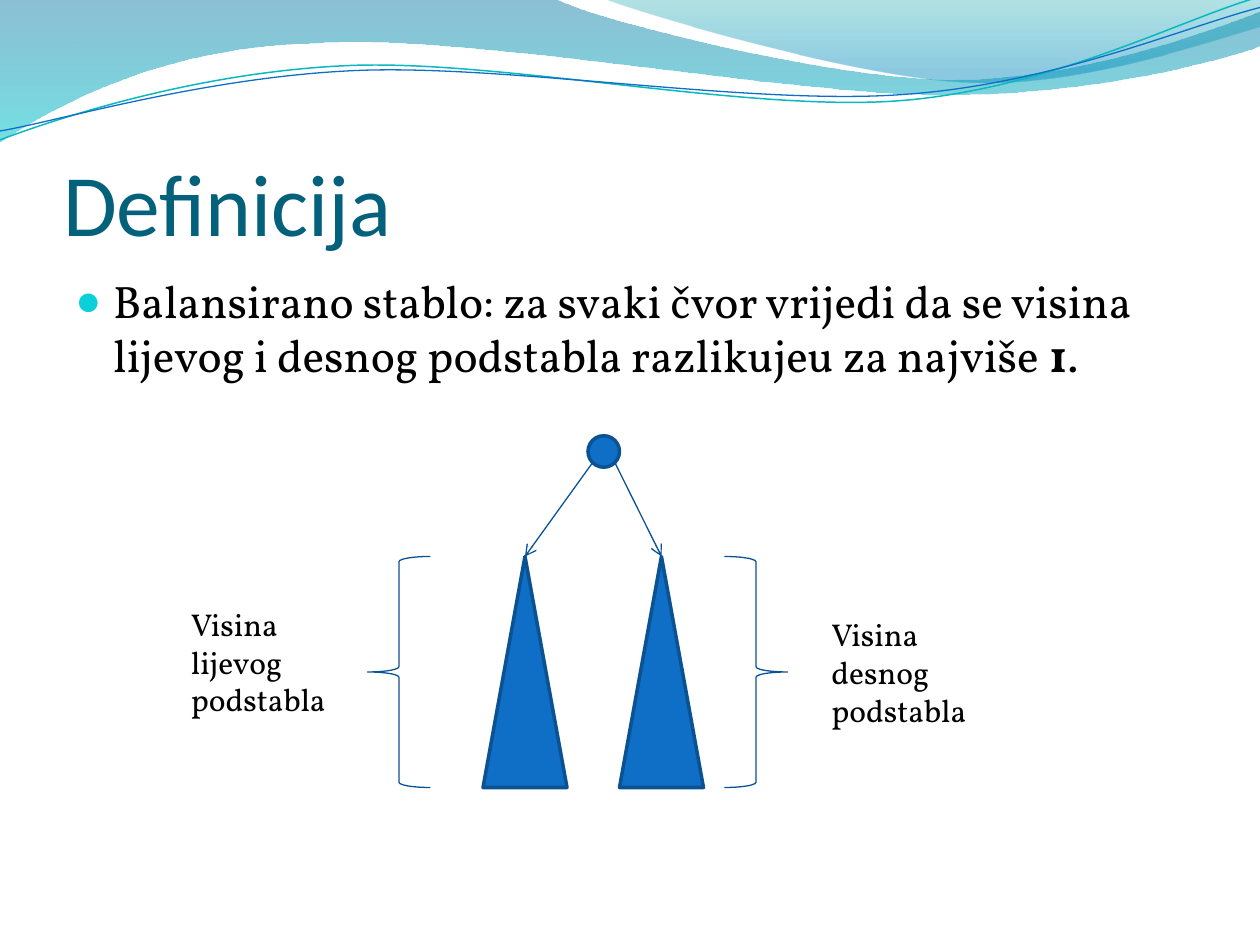
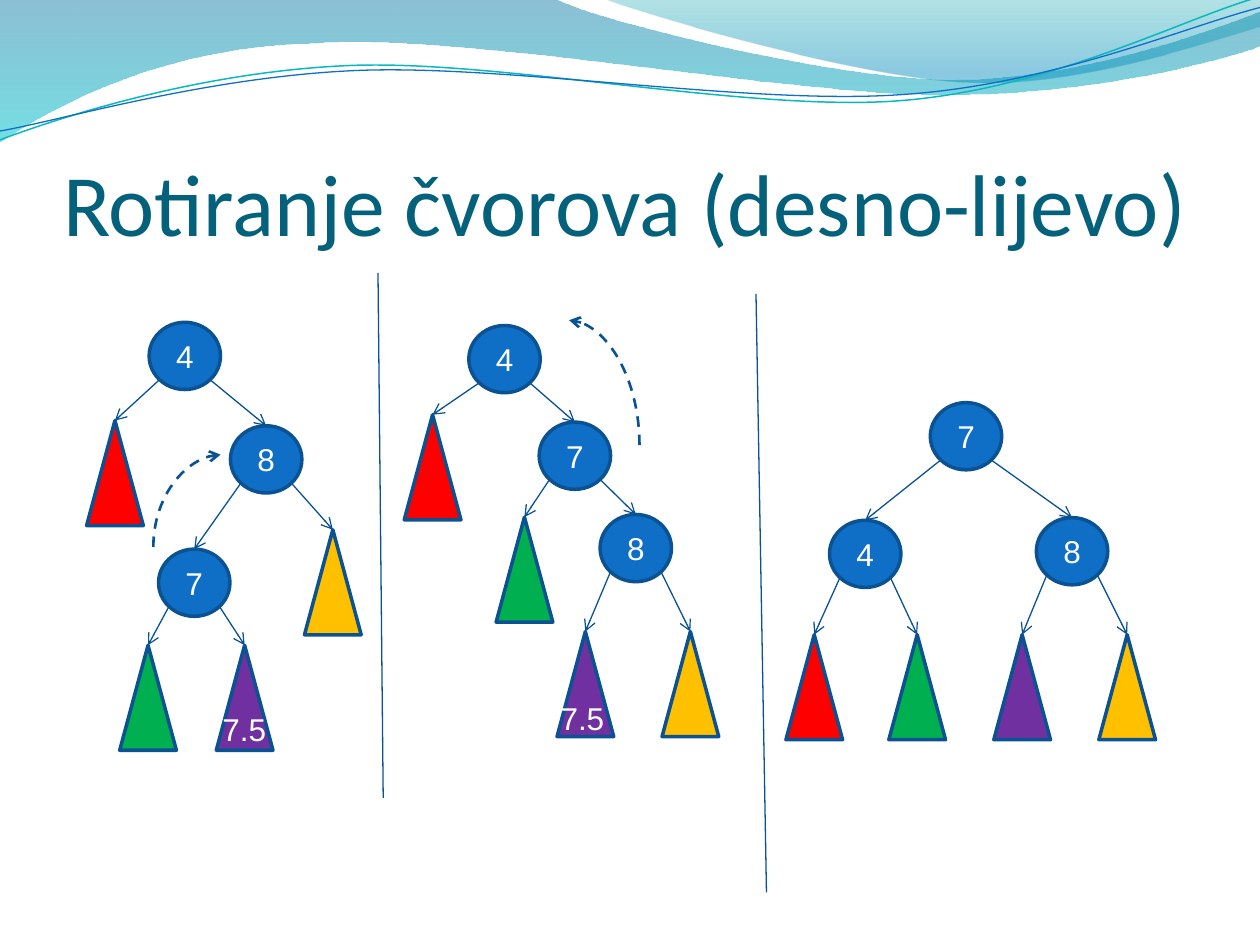
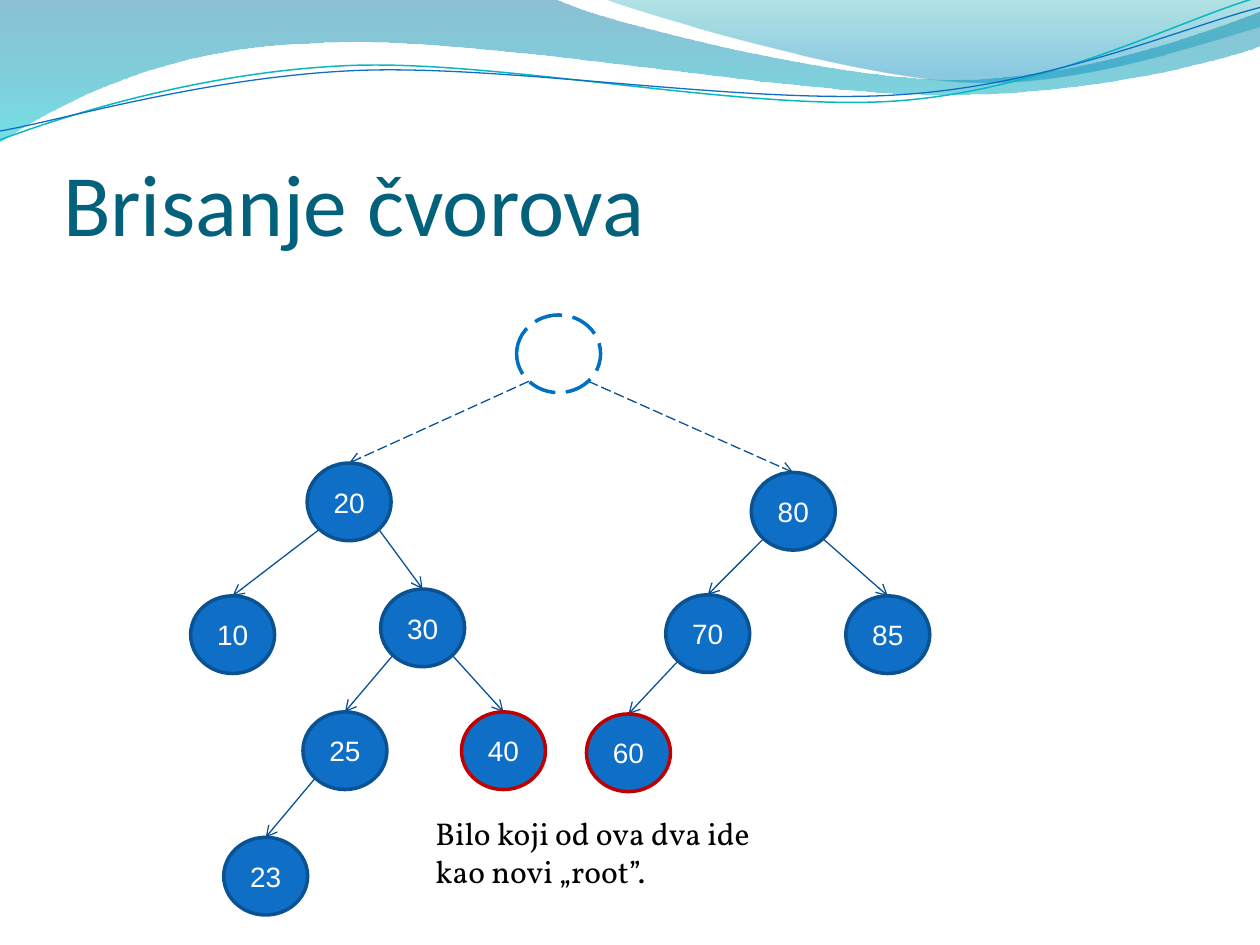
from math import cos, radians, sin

from lxml import etree
from pptx import Presentation
from pptx.dml.color import RGBColor
from pptx.enum.dml import MSO_LINE
from pptx.enum.shapes import MSO_CONNECTOR, MSO_SHAPE
from pptx.enum.text import MSO_ANCHOR, MSO_AUTO_SIZE, PP_ALIGN
from pptx.oxml.ns import qn
from pptx.util import Inches, Pt

STRAIGHT, CURVE = MSO_CONNECTOR.STRAIGHT, MSO_CONNECTOR.CURVE
OVAL, TRIANGLE = MSO_SHAPE.OVAL, MSO_SHAPE.ISOSCELES_TRIANGLE
EXTRACT = MSO_SHAPE.FLOWCHART_EXTRACT
LEFT_BRACE, RIGHT_BRACE = MSO_SHAPE.LEFT_BRACE, MSO_SHAPE.RIGHT_BRACE
DASH, LONG_DASH = MSO_LINE.DASH, MSO_LINE.LONG_DASH
TOP, MIDDLE, BOTTOM = MSO_ANCHOR.TOP, MSO_ANCHOR.MIDDLE, MSO_ANCHOR.BOTTOM
LEFT, CENTER = PP_ALIGN.LEFT, PP_ALIGN.CENTER
FIXED, GROW = MSO_AUTO_SIZE.NONE, MSO_AUTO_SIZE.SHAPE_TO_FIT_TEXT

rgb = RGBColor.from_string
BLUE, OUTLINE, EDGE = "0F6FC6", "0B5292", "095295"
RED, GREEN, PURPLE, YELLOW = "FF0000", "00B050", "7030A0", "FFC000"
CHOSEN, REMOVED = "C00000", "0070C0"
TITLE, BULLET, BLACK, WHITE = "04617B", "0BD0D9", "000000", "FFFFFF"
HEAD, SERIF, SANS = "Calibri", "Vollkorn", "Arial"

prs = Presentation()
prs.slide_width, prs.slide_height = Inches(10), Inches(7.5)
CELL = prs.slide_width / 120  # the grid has 120 columns and 90 rows


def cells(*values):
    return [round(v * CELL) for v in values]


def write(p, text, size, font, color, bold=False):
    r = p.add_run()
    r.text = text
    r.font.size, r.font.name, r.font.bold = Pt(size), font, bold
    r.font.color.rgb = rgb(color)


# Slides and their titles
layout = prs.slide_layouts[5]
for title in ("Definicija", "Rotiranje čvorova (desno-lijevo)", "Brisanje čvorova"):
    sp = prs.slides.add_slide(layout).shapes.title
    sp.left, sp.top, sp.width, sp.height = cells(6, 9.2, 108, 15)
    tf = sp.text_frame
    tf.word_wrap, tf.auto_size = True, FIXED
    tf.vertical_anchor = BOTTOM
    tf.margin_left = tf.margin_right = tf.margin_bottom = 0
    tf.margin_top = Inches(0.05)
    tf.paragraphs[0].alignment = LEFT
    write(tf.paragraphs[0], title, 50, HEAD, TITLE)
definition, rotation, removal = prs.slides

# Waves in tenths of the slide's width: stops (position, colour, opacity),
# line (colour, width, centre of its turn), start, segments.
# Two numbers are a straight segment, six are a Bezier curve.
waves = [
    ([(0, "0074A1", 45), (1, "00C6CF", 55)], None, (0, 0), [
        (4.4, -0.01), (4.76, 0.17, 6.64, 0.63, 7.58, 0.63),
        (8.53, 0.63, 9.58, 0.26, 10, 0.09), (10.01, 0.36),
        (9.83, 0.44, 8.7, 0.76, 7.46, 0.75), (6.22, 0.75, 3.82, 0.28, 2.57, 0.34),
        (1.29, 0.36, 0.46, 0.83, -0.01, 1.13), (0, 0)]),
    ([(0, "00A1A9", 30), (0.8, "008BBF", 45)], None, (4.79, -0.01), [
        (5.09, 0.11, 6.82, 0.62, 7.69, 0.65), (8.56, 0.69, 9.61, 0.32, 10, 0.21),
        (10, 0), (4.79, -0.01)]),
    (None, ("0AB8BF", 0.85, 4.99, 0.58), (0, 1.11), [
        (0.48, 0.93, 1.58, 0.57, 2.77, 0.52), (3.95, 0.47, 5.93, 0.89, 7.13, 0.8),
        (8.33, 0.71, 9.38, 0.15, 9.98, -0.02)]),
    (None, (BLUE, 0.75, 5, 0.59), (0, 1.04), [
        (0.47, 0.96, 1.64, 0.61, 2.83, 0.56), (4.03, 0.51, 5.97, 0.84, 7.17, 0.75),
        (8.36, 0.67, 9.41, 0.21, 10, 0.06)]),
]
TILT = 2.7  # the wave lines are turned back by this many degrees
COS, SIN = cos(radians(TILT)), sin(radians(TILT))
for depth, (stops, line, start, segments) in enumerate(waves):
    points = [start] + [seg[i:i + 2] for seg in segments for i in range(0, len(seg), 2)]
    if line:
        color, width, cx, cy = line
        points = [(cx + (x - cx) * COS - (y - cy) * SIN,
                   cy + (x - cx) * SIN + (y - cy) * COS) for x, y in points]
    points = [cells(12 * x, 12 * y) for x, y in points]
    builder = definition.shapes.build_freeform(*points[0])
    builder.add_line_segments(points[1:], close=stops is not None)
    sp = builder.convert_to_shape()
    sp.shadow.inherit = False
    # Three points in a row become one curve
    steps = iter(list(sp._element.spPr.iter(qn("a:lnTo"))))
    for seg in segments:
        node = next(steps)
        if len(seg) == 6:
            node.tag = qn("a:cubicBezTo")
            for extra in (next(steps), next(steps)):
                node.append(extra[0])
                extra.getparent().remove(extra)
    if stops:
        sp.line.fill.background()
        sp.fill.gradient()
        sp.fill.gradient_angle = 270
        for stop, (position, color, _) in zip(sp.fill.gradient_stops, stops):
            stop.position, stop.color.rgb = position, rgb(color)
        colors = sp._element.spPr.iter(qn("a:srgbClr"))
        for node, (_, _, opacity) in zip(colors, stops):
            etree.SubElement(node, qn("a:alpha"), val=str(opacity * 1000))
    else:
        sp.fill.background()
        sp.line.color.rgb, sp.line.width = rgb(color), Pt(width)
        sp.rotation = 360 - TILT
    # The layout holds the waves for every slide
    layout.shapes._spTree.insert(2 + depth, sp._element)

# Trees: slide, circle size, leaf shape and size, text size,
# then name: (parent, centre column, top row, fill, outline)
trees = [
    (definition, (3, 3), EXTRACT, (8, 22), 18, {
        "root": (None, 57.5, 41.5, BLUE, OUTLINE),
        "left": ("root", 50, 53, BLUE, OUTLINE),
        "right": ("root", 63, 53, BLUE, OUTLINE)}),
    (rotation, (6.8, 6.4), TRIANGLE, (5.4, 10), 18, {
        "4": (None, 17.6, 30.7, BLUE, OUTLINE),
        "8": ("4", 25.35, 40.55, BLUE, OUTLINE),
        "7": ("8", 18.5, 52.3, BLUE, OUTLINE),
        "a": ("4", 10.95, 40.05, RED, OUTLINE),
        "b": ("7", 14.1, 61.45, GREEN, OUTLINE),
        "c": ("7", 23.3, 61.45, PURPLE, OUTLINE),
        "d": ("8", 31.7, 50.45, YELLOW, OUTLINE)}),
    (rotation, (6.8, 6.4), TRIANGLE, (5.4, 10), 18, {
        "4": (None, 48.05, 31, BLUE, OUTLINE),
        "7": ("4", 54.75, 40.2, BLUE, OUTLINE),
        "8": ("7", 60.55, 49, BLUE, OUTLINE),
        "a": ("4", 41.2, 39.5, RED, OUTLINE),
        "b": ("7", 49.95, 49.25, GREEN, OUTLINE),
        "c": ("8", 55.75, 60.15, PURPLE, OUTLINE),
        "d": ("8", 65.75, 60.15, YELLOW, OUTLINE)}),
    (rotation, (6.8, 6.4), TRIANGLE, (5.4, 10), 18, {
        "7": (None, 92, 38.35, BLUE, OUTLINE),
        "4": ("7", 82.4, 49.55, BLUE, OUTLINE),
        "8": ("7", 102.1, 49.3, BLUE, OUTLINE),
        "a": ("4", 77.55, 60.45, RED, OUTLINE),
        "b": ("4", 87.35, 60.45, GREEN, OUTLINE),
        "c": ("8", 97.35, 60.45, PURPLE, OUTLINE),
        "d": ("8", 107.35, 60.45, YELLOW, OUTLINE)}),
    (removal, (8, 7.4), TRIANGLE, (8, 7.4), 16, {
        "root": (None, 53.2, 30, None, REMOVED),
        "20": ("root", 33.25, 44.1, BLUE, OUTLINE),
        "80": ("root", 75.55, 45, BLUE, OUTLINE),
        "10": ("20", 22.15, 56.75, BLUE, OUTLINE),
        "30": ("20", 40.25, 56.1, BLUE, OUTLINE),
        "70": ("80", 67.4, 56.65, BLUE, OUTLINE),
        "85": ("80", 84.55, 56.75, BLUE, OUTLINE),
        "25": ("30", 32.85, 67.8, BLUE, OUTLINE),
        "40": ("30", 47.95, 67.8, BLUE, CHOSEN),
        "60": ("70", 59.85, 68, BLUE, CHOSEN),
        "23": ("25", 25.3, 79.75, BLUE, OUTLINE)}),
]

# Lines: slide, ends, width, dash, arrow, turn in degrees (a turned line is curved)
lines = [
    (rotation, (36, 26, 36.5, 76), 0.75, None, False, 0),
    (rotation, (72, 28, 73, 85), 0.75, None, False, 0),
    (rotation, (22.2, 50.9, 13.4, 44.5), 1.5, DASH, True, 90),
    (rotation, (51.6, 39.8, 63.5, 33.1), 1.5, DASH, True, 270),
]
# An edge leaves the circle at 45 degrees and ends at the child's top
DIAGONAL = 0.5 * cos(radians(45))
for s, (w, h), _, _, _, nodes in trees:
    for parent, x, top, _, _ in nodes.values():
        if parent:
            _, px, ptop, fill, _ = nodes[parent]
            side = 1 if x > px else -1
            ends = (px + side * DIAGONAL * w, ptop + (0.5 + DIAGONAL) * h, x, top)
            lines.append((s, ends, 0.75, None if fill else LONG_DASH, True, 0))

for s, ends, width, dash, arrow, turn in lines:
    c = s.shapes.add_connector(CURVE if turn else STRAIGHT, *cells(*ends))
    c.line.color.rgb, c.line.width = rgb(EDGE), Pt(width)
    spPr = c._element.spPr
    if dash:
        c.line.dash_style = dash
    if arrow:
        etree.SubElement(spPr.find(qn("a:ln")), qn("a:tailEnd"), type="arrow")
    if turn:
        spPr.find(qn("a:xfrm")).set("rot", str(turn * 60000))
        spPr.find(qn("a:prstGeom")).set("prst", "curvedConnector2")
    etree.SubElement(spPr, qn("a:effectLst"))

# Nodes and leaves
for s, circle, leaf, leaf_size, size, nodes in trees:
    for name, (_, x, top, fill, outline) in nodes.items():
        is_circle = name == "root" or name.isdigit()
        w, h = circle if is_circle else leaf_size
        sp = s.shapes.add_shape(OVAL if is_circle else leaf, *cells(x - w / 2, top, w, h))
        sp.shadow.inherit = False
        sp.line.color.rgb, sp.line.width = rgb(outline), Pt(2)
        if fill:
            sp.fill.solid()
            sp.fill.fore_color.rgb = rgb(fill)
        else:
            sp.fill.background()
            sp.line.dash_style = LONG_DASH
        if name.isdigit():
            sp.text_frame.vertical_anchor = MIDDLE
            p = sp.text_frame.paragraphs[0]
            p.alignment = CENTER
            write(p, name, size, SANS, WHITE)

# Braces beside the subtrees
for kind, column in ((LEFT_BRACE, 35), (RIGHT_BRACE, 69)):
    sp = definition.shapes.add_shape(kind, *cells(column, 53, 6, 22))
    sp.shadow.inherit = False
    sp.fill.background()
    sp.line.color.rgb, sp.line.width = rgb(EDGE), Pt(0.75)

# Text boxes: slide, place, size, font, colour, runs (text, bold), bullet
texts = [
    (definition, (6, 25.4, 108, 15.6), 26, SERIF, BLACK, [
        ("Balansirano stablo: za svaki čvor vrijedi da se visina lijevog i desnog "
         "podstabla razlikujeu za najviše ", False), ("1", True), (".", False)], True),
    (definition, (17, 57, 16, 12.1), 18, SERIF, BLACK,
     [("Visina lijevog podstabla", False)], False),
    (definition, (78, 58, 16, 12.1), 18, SERIF, BLACK,
     [("Visina desnog podstabla", False)], False),
    (rotation, (20, 67, 7.8, 5), 18, SANS, WHITE, [("7.5", False)], False),
    (rotation, (52.2, 66, 7.8, 5), 18, SANS, WHITE, [("7.5", False)], False),
    (removal, (40.3, 76.95, 32.4, 8.5), 18, SERIF, BLACK,
     [("Bilo koji od ova dva ide kao novi „root”.", False)], False),
]
for s, place, size, font, color, runs, bullet in texts:
    tf = s.shapes.add_textbox(*cells(*place)).text_frame
    tf.word_wrap, tf.vertical_anchor = True, TOP
    tf.auto_size = FIXED if bullet else GROW
    p = tf.paragraphs[0]
    for text, bold in runs:
        write(p, text, size, font, color, bold)
    if bullet:
        p.space_before = Pt(0.2 * size)
        pPr = p._p.get_or_add_pPr()
        pPr.set("marL", str(Inches(0.3)))
        pPr.set("indent", str(-Inches(0.3)))
        buClr = etree.SubElement(pPr, qn("a:buClr"))
        etree.SubElement(buClr, qn("a:srgbClr"), val=BULLET)
        etree.SubElement(pPr, qn("a:buSzPct"), val="95000")
        etree.SubElement(pPr, qn("a:buFont"), typeface=SANS)
        etree.SubElement(pPr, qn("a:buChar"), char="●")

prs.save("out.pptx")
